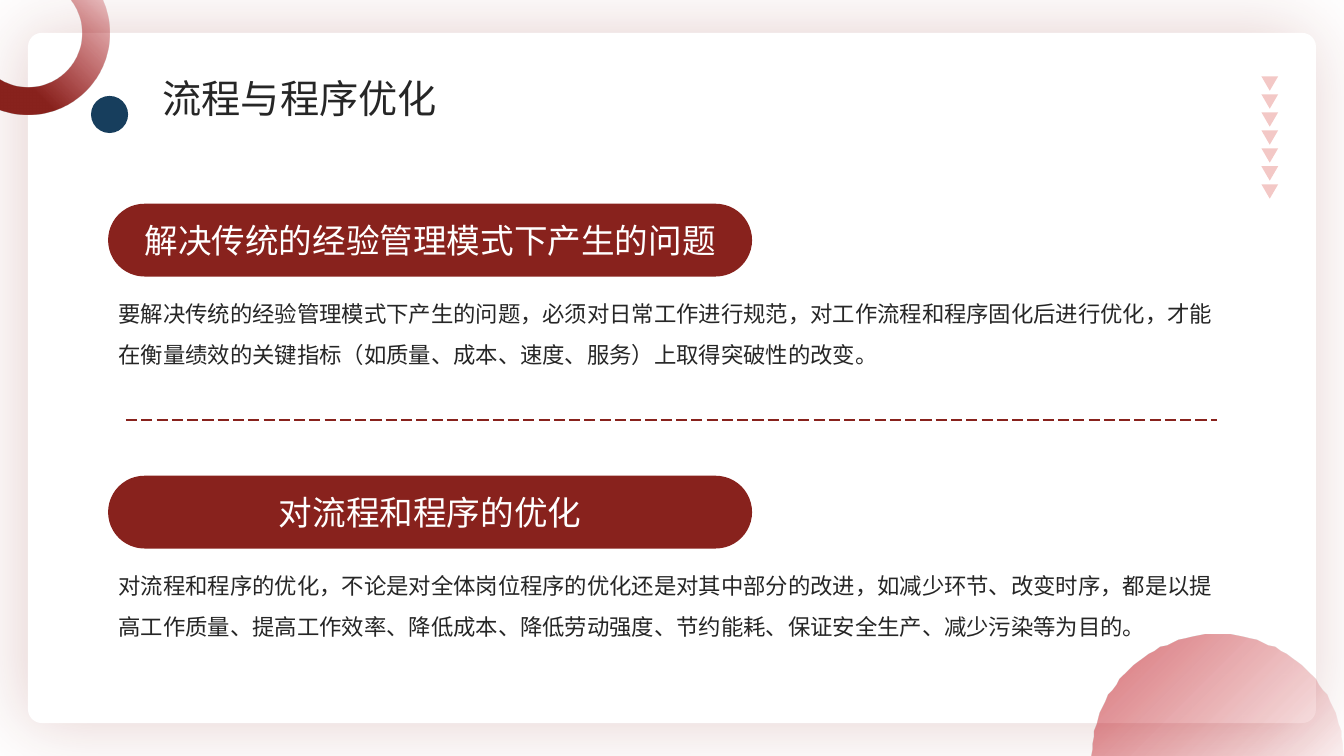
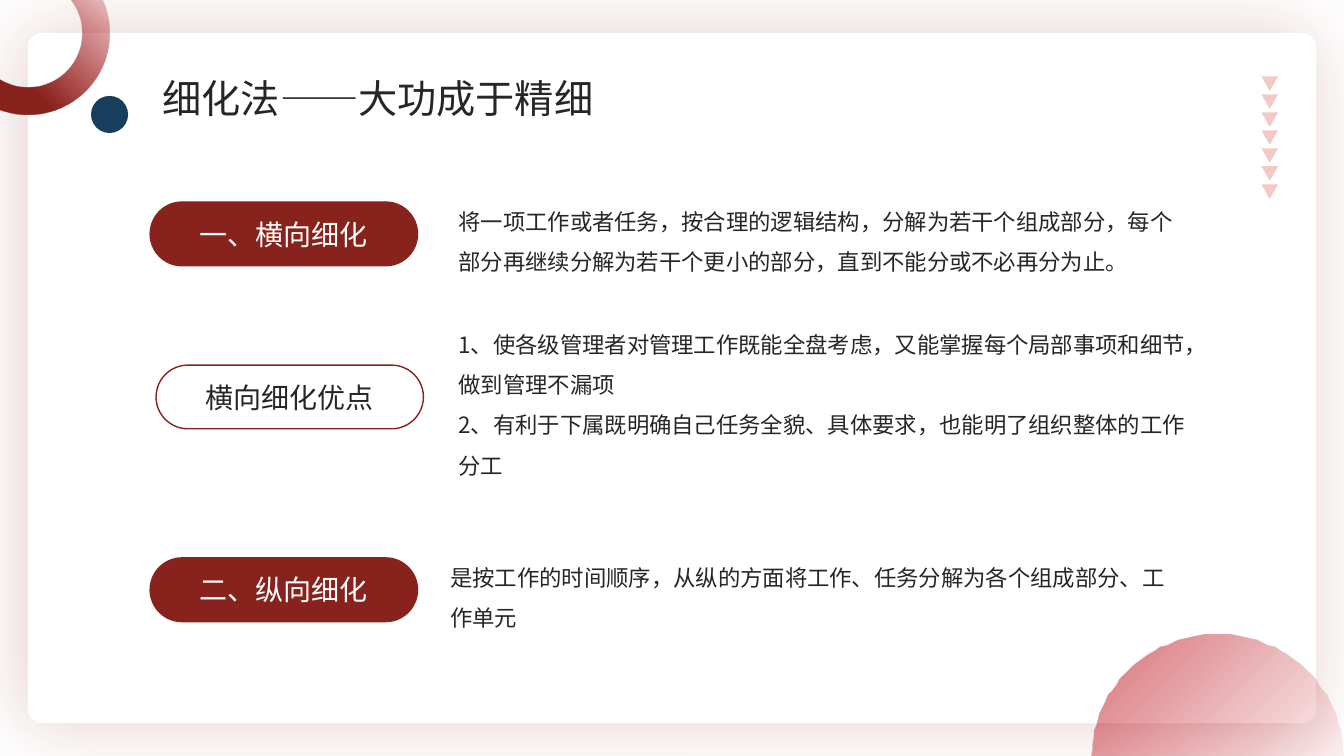
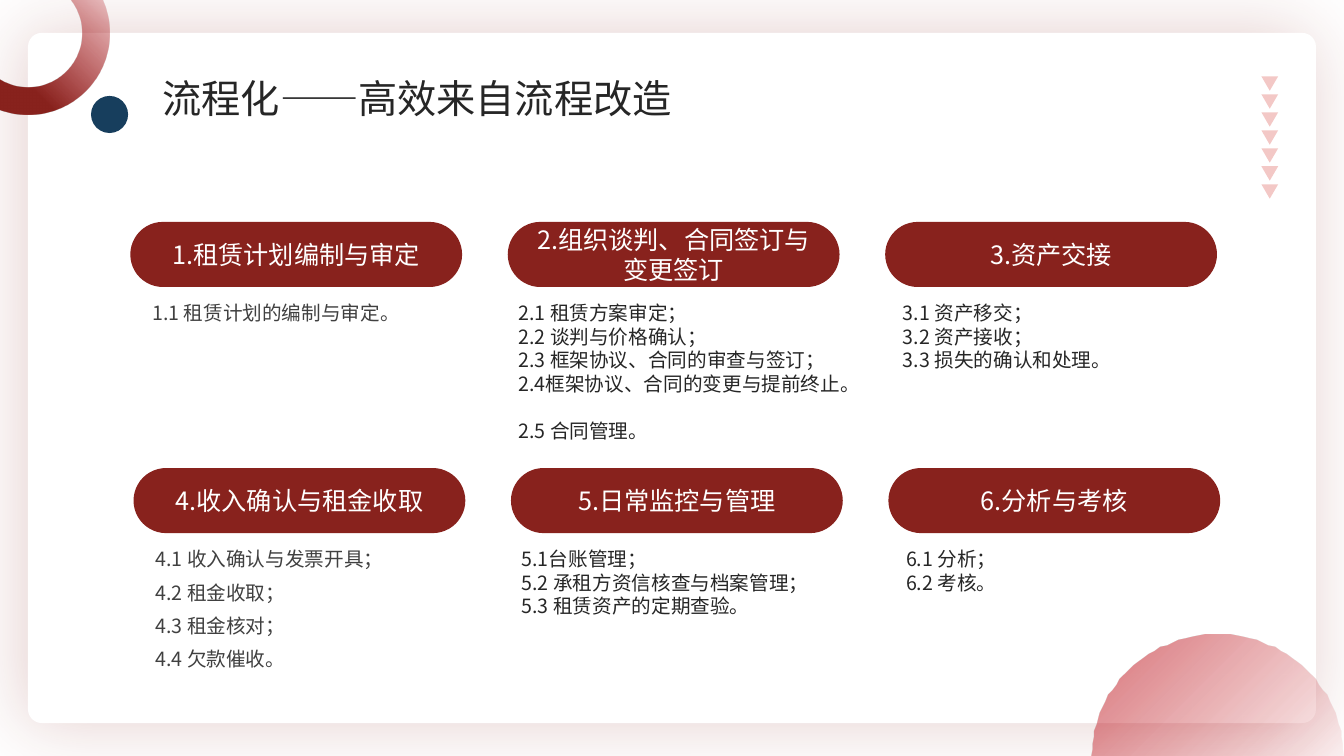
from math import cos, pi, sin

from lxml import etree
from pptx import Presentation
from pptx.dml.color import RGBColor
from pptx.enum import dml, shapes, text
from pptx.oxml import ns
from pptx.util import Pt

FONT = "Noto Sans CJK SC"
RED = RGBColor(0x88, 0x22, 0x1D)
ROSE = RGBColor(0xB9, 0x00, 0x0B)
PINK = RGBColor(0xF3, 0xC8, 0xC6)
NAVY = RGBColor(0x17, 0x3E, 0x5D)
WHITE = RGBColor(0xFF, 0xFF, 0xFF)
INK = RGBColor(0x26, 0x26, 0x26)
GREY = RGBColor(0x40, 0x40, 0x40)
KIND = shapes.MSO_SHAPE
LEFT, CENTER = text.PP_ALIGN.LEFT, text.PP_ALIGN.CENTER


def write(frame, lines, size, color, align=LEFT, lead=1.0, gap=0):
    """Fill a text frame, one paragraph a line; gap is the space between."""
    frame.word_wrap = True
    frame.auto_size = text.MSO_AUTO_SIZE.NONE
    for i, line in enumerate(lines):
        para = frame.add_paragraph() if i else frame.paragraphs[0]
        para.text = line
        para.alignment = align
        para.line_spacing = lead
        para.space_before = Pt(gap if i else 0)
        para.font.size = Pt(size)
        para.font.name = FONT
        para.font.color.rgb = color
        latin = para._p.find(".//" + ns.qn("a:latin"))
        east = etree.Element(ns.qn("a:ea"), typeface=FONT)
        latin.addnext(east)


def pill(slide, box, label, size, fill=RED, color=WHITE):
    """Add a red-edged label with fully round ends."""
    shape = slide.shapes.add_shape(KIND.ROUNDED_RECTANGLE, *map(Pt, box))
    shape.adjustments[0] = 0.5
    shape.shadow.inherit = False
    shape.fill.solid()
    shape.fill.fore_color.rgb = fill
    shape.line.color.rgb = RED
    shape.line.width = Pt(1)
    shape.text_frame.vertical_anchor = text.MSO_ANCHOR.MIDDLE
    write(shape.text_frame, [label], size, color, CENTER)


deck = Presentation()
deck.slide_width, deck.slide_height = Pt(960), Pt(540)
layout = deck.slide_layouts[5]

# Title place and slides
head = layout.placeholders[0]
head.left, head.top, head.width, head.height = Pt(109), Pt(49.7), Pt(450), Pt(41)
slides = []
for name in ["流程与程序优化", "细化法——大功成于精细", "流程化——高效来自流程改造"]:
    slide = deck.slides.add_slide(layout)
    title = slide.shapes.title.text_frame
    title.vertical_anchor = text.MSO_ANCHOR.TOP
    write(title, [name], 28, INK)
    slides.append(slide)
first, second, third = slides

# Shared decor, drawn once and moved to the layout
pen = first.shapes
card = pen.add_shape(KIND.ROUNDED_RECTANGLE, Pt(20), Pt(23.5), Pt(920), Pt(493))
card.adjustments[0] = 0.02
ring = pen.add_shape(KIND.DONUT, Pt(-38), Pt(-34.5), Pt(116), Pt(116))
ring.adjustments[0] = 0.17
dot = pen.add_shape(KIND.OVAL, Pt(65), Pt(68.5), Pt(26.5), Pt(26.5))
arc = [(870 - 89.5 * cos(pi * i / 60), 540 - 87 * sin(pi * i / 60)) for i in range(61)]
path = pen.build_freeform(*arc[0], scale=Pt(1))
path.add_line_segments(arc[1:])
dome = path.convert_to_shape()
marks = [
    pen.add_shape(KIND.FLOWCHART_MERGE, Pt(901), Pt(54.5 + 12.85 * i), Pt(12), Pt(10.3))
    for i in range(7)
]

for shape, color in [(card, WHITE), (dot, NAVY)] + [(mark, PINK) for mark in marks]:
    shape.fill.solid()
    shape.fill.fore_color.rgb = color
for shape, angle, stops in [
    (ring, 45, [(0.34, RED, 100), (1, ROSE, 0)]),
    (dome, 315, [(0.02, ROSE, 54), (1, ROSE, 5)]),
]:
    shape.fill.gradient()
    shape.fill.gradient_angle = angle
    for stop, (place, color, _) in zip(shape.fill.gradient_stops, stops):
        stop.position = place
        stop.color.rgb = color
    tints = shape.element.xpath(".//a:gradFill//a:srgbClr")
    for tint, (_, _, alpha) in zip(tints, stops):
        etree.SubElement(tint, ns.qn("a:alpha"), val=str(alpha * 1000))

for i, shape in enumerate([card, ring, dot, dome] + marks):
    shape.line.fill.background()
    shape.shadow.inherit = False
    layout.shapes.element.insert(2 + i, shape.element)

glow = etree.SubElement(
    card.element.spPr.find(ns.qn("a:effectLst")), ns.qn("a:outerShdw"),
    blurRad=str(Pt(54)), dist=str(Pt(3)), dir="10800000", algn="ctr", rotWithShape="0",
)
shade = etree.SubElement(glow, ns.qn("a:srgbClr"), val=str(RED))
etree.SubElement(shade, ns.qn("a:alpha"), val="22000")

# Slide 1: two topics, parted by a dashed rule
rule = first.shapes.add_connector(
    shapes.MSO_CONNECTOR.STRAIGHT, Pt(90), Pt(300), Pt(869), Pt(300))
rule.line.color.rgb = RED
rule.line.width = Pt(1)
rule.line.dash_style = dml.MSO_LINE.LONG_DASH
etree.SubElement(rule.element.spPr, ns.qn("a:effectLst"))
topics = [
    ("解决传统的经验管理模式下产生的问题",
     "要解决传统的经验管理模式下产生的问题，必须对日常工作进行规范，对工作流程和程序固化后进行优化，"
     "才能在衡量绩效的关键指标（如质量、成本、速度、服务）上取得突破性的改变。"),
    ("对流程和程序的优化",
     "对流程和程序的优化，不论是对全体岗位程序的优化还是对其中部分的改进，如减少环节、改变时序，"
     "都是以提高工作质量、提高工作效率、降低成本、降低劳动强度、节约能耗、保证安全生产、减少污染等为目的。"),
]
for i, (label, body) in enumerate(topics):
    top = 146 + 194.3 * i
    pill(first, (77.7, top, 459, 51), label, 24)
    note = first.shapes.add_textbox(Pt(77.7), Pt(top + 55.5), Pt(800.5), Pt(63))
    write(note.text_frame, [body], 16, INK, lead=1.5)

# Slide 2: label left, text right
rows = [
    (107.3, 144.3, RED, WHITE, "一、横向细化", 320.4, 135.3, 63,
     ["将一项工作或者任务，按合理的逻辑结构，分解为若干个组成部分，每个部分再继续分解为若干个更小的部分，"
      "直到不能分或不必再分为止。"]),
    (111.5, 260.8, WHITE, INK, "横向细化优点", 320.4, 223.2, 120,
     ["1、使各级管理者对管理工作既能全盘考虑，又能掌握每个局部事项和细节，做到管理不漏项",
      "2、有利于下属既明确自己任务全貌、具体要求，也能明了组织整体的工作分工"]),
    (107.3, 398.5, RED, WHITE, "二、纵向细化", 314.6, 389.5, 63,
     ["是按工作的时间顺序，从纵的方面将工作、任务分解为各个组成部分、工作单元"]),
]
for left, top, fill, color, label, x, y, high, lines in rows:
    pill(second, (left, top, 191, 45.5), label, 20, fill, color)
    note = second.shapes.add_textbox(Pt(x), Pt(y), Pt(534), Pt(high))
    write(note.text_frame, lines, 16, INK, lead=1.5)

# Slide 3: six steps in a grid of three columns
steps = [
    ("1.租赁计划编制与审定", 0, ["1.1 租赁计划的编制与审定。"]),
    ("2.组织谈判、合同签订与变更签订", 0,
     ["2.1 租赁方案审定；", "2.2 谈判与价格确认；", "2.3 框架协议、合同的审查与签订；",
      "2.4框架协议、合同的变更与提前终止。", "2.5 合同管理。"]),
    ("3.资产交接", 0, ["3.1 资产移交；", "3.2 资产接收；", "3.3 损失的确认和处理。"]),
    ("4.收入确认与租金收取", 7,
     ["4.1 收入确认与发票开具；", "4.2 租金收取；", "4.3 租金核对；", "4.4 欠款催收。"]),
    ("5.日常监控与管理", 0,
     ["5.1台账管理；", "5.2 承租方资信核查与档案管理；", "5.3 租赁资产的定期查验。"]),
    ("6.分析与考核", 0, ["6.1 分析；", "6.2 考核。"]),
]
for i, (label, gap, lines) in enumerate(steps):
    row, col = divmod(i, 3)
    left = 93.6 + 269.6 * col + 2.3 * row
    top = 159 + 175.8 * row
    pill(third, (left, top, 236, 45.5), label, 18)
    note = third.shapes.add_textbox(
        Pt(left + (8, 0, 5)[col]), Pt(top + 52.5), Pt(262), Pt(8 + (17 + gap) * len(lines)))
    write(note.text_frame, lines, 14, INK if col else GREY, gap=gap)
    if label.startswith("2."):
        note.text_frame.paragraphs[-1].space_before = Pt(16.8)

deck.save("out.pptx")
